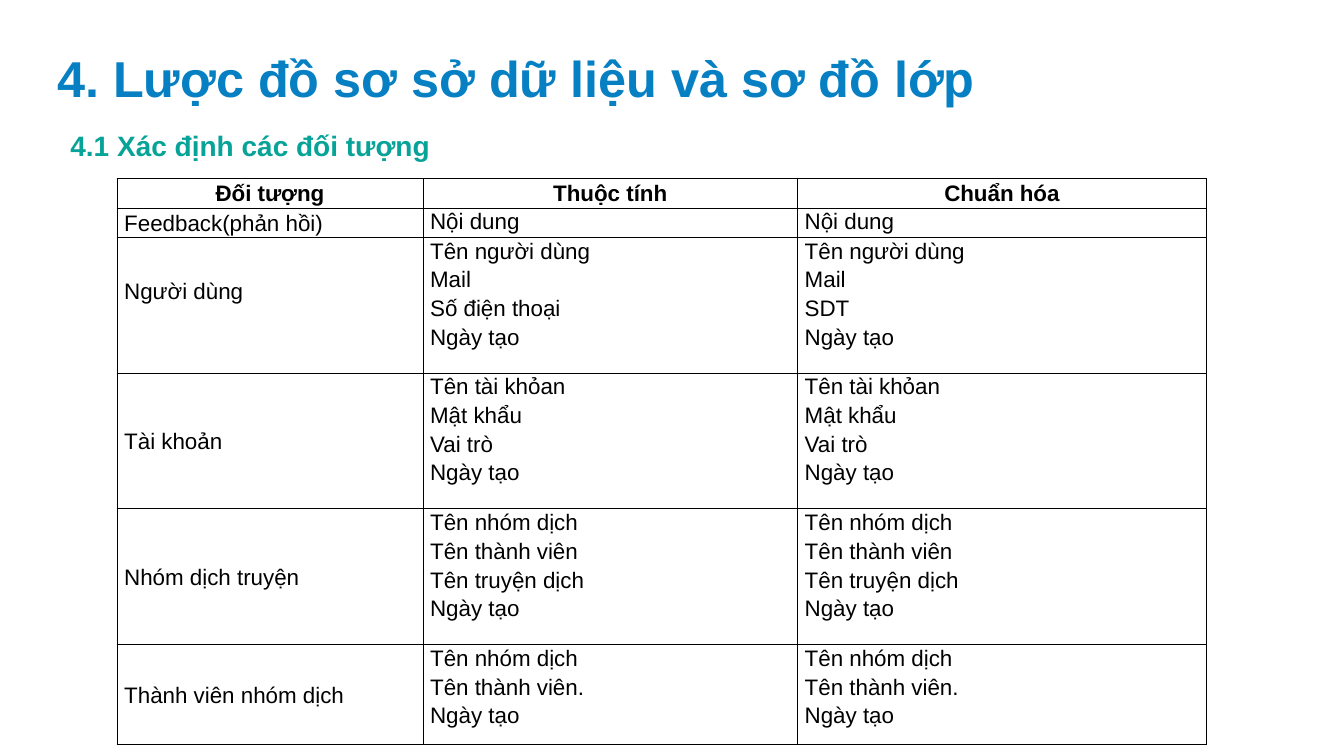
"""Build the slide that lists the objects, their attributes and normalised forms."""
from lxml.etree import SubElement
from pptx import Presentation
from pptx.dml.color import RGBColor
from pptx.enum.text import MSO_ANCHOR, MSO_AUTO_SIZE, PP_ALIGN
from pptx.oxml.ns import qn
from pptx.util import Cm, Pt

TITLE = "4. Lược đồ sơ sở dữ liệu và sơ đồ lớp"
SUBTITLE = "4.1 Xác định các đối tượng"
HEADER = ("Đối tượng", "Thuộc tính", "Chuẩn hóa")
OBJECTS = [
    ("Feedback(phản hồi)", ["Nội dung"]),
    ("Người dùng", ["Tên người dùng", "Mail", "Số điện thoại", "Ngày tạo"]),
    ("Tài khoản", ["Tên tài khỏan", "Mật khẩu", "Vai trò", "Ngày tạo"]),
    ("Nhóm dịch truyện", ["Tên nhóm dịch", "Tên thành viên", "Tên truyện dịch", "Ngày tạo"]),
    ("Thành viên nhóm dịch", ["Tên nhóm dịch", "Tên thành viên.", "Ngày tạo"]),
]
NORMALISED = {"Số điện thoại": "SDT"}
COLUMN_WIDTHS = (7.71, 9.44, 10.3)
ROW_HEIGHTS = (0.74, 0.74, 3.42, 3.42, 3.42, 2.52)
FEEDBACK_ROW, USER_ROW = 1, 2


def color(value):
    return RGBColor.from_string(value)


def format_runs(paragraph, size, hex_color, bold):
    for run in paragraph.runs:
        run.font.name = "Arial"
        run.font.size = Pt(size)
        run.font.bold = bold
        run.font.color.rgb = color(hex_color)


def fill_placeholder(shape, text, box, size, hex_color):
    shape.left, shape.top, shape.width, shape.height = map(Cm, box)
    frame = shape.text_frame
    frame.text = text
    frame.word_wrap = True
    frame.auto_size = MSO_AUTO_SIZE.NONE
    frame.vertical_anchor = MSO_ANCHOR.MIDDLE
    paragraph = frame.paragraphs[0]
    paragraph.alignment = PP_ALIGN.LEFT
    format_runs(paragraph, size, hex_color, True)
    return paragraph


def remove_bullet(paragraph):
    properties = paragraph._p.get_or_add_pPr()
    properties.set("marL", "0")
    properties.set("indent", "0")
    SubElement(properties, qn("a:buNone"))


def add_borders(cell, widths):
    properties = cell._tc.get_or_add_tcPr()
    for side, width in widths.items():
        line = SubElement(properties, qn(f"a:ln{side}"), w=str(Pt(width)))
        fill = SubElement(line, qn("a:solidFill"))
        SubElement(fill, qn("a:srgbClr"), val="000000")


def fill_cell(cell, text, centered, bold):
    cell.margin_left = cell.margin_right = Cm(0.18)
    cell.margin_top = cell.margin_bottom = 0
    cell.vertical_anchor = MSO_ANCHOR.MIDDLE if centered else MSO_ANCHOR.TOP
    cell.text_frame.text = text
    for paragraph in cell.text_frame.paragraphs:
        paragraph.alignment = PP_ALIGN.CENTER if bold else PP_ALIGN.LEFT
        paragraph.line_spacing = 1.07
        paragraph.space_after = Pt(1.5)
        format_runs(paragraph, 16, "000000", bold)


def add_object_table(slide):
    rows = [HEADER]
    for name, attributes in OBJECTS:
        normalised = [NORMALISED.get(item, item) for item in attributes]
        rows.append((name, "\n".join(attributes), "\n".join(normalised)))
    frame = slide.shapes.add_table(
        len(rows), len(HEADER), Cm(2.95), Cm(4.5),
        Cm(sum(COLUMN_WIDTHS)), Cm(sum(ROW_HEIGHTS)))
    table = frame.table
    table.first_row = table.horz_banding = False
    for column, width in zip(table.columns, COLUMN_WIDTHS):
        column.width = Cm(width)
    for row, height in zip(table.rows, ROW_HEIGHTS):
        row.height = Cm(height)
    for row_index, texts in enumerate(rows):
        top = 1 if row_index == USER_ROW else 0.5
        bottom = 1 if row_index == FEEDBACK_ROW else 0.5
        for column_index, text in enumerate(texts):
            cell = table.cell(row_index, column_index)
            is_header = row_index == 0
            fill_cell(cell, text, is_header or column_index == 0, is_header)
            add_borders(cell, {"L": 0.5, "R": 0.5, "T": top, "B": bottom})
            cell.fill.solid()
            cell.fill.fore_color.rgb = color("FFFFFF")
    table.cell(USER_ROW, 0).margin_bottom = Cm(0.74)


def main():
    presentation = Presentation()
    presentation.slide_width, presentation.slide_height = Cm(33.87), Cm(19.05)
    slide = presentation.slides.add_slide(presentation.slide_layouts[1])
    title, body = slide.placeholders
    fill_placeholder(title, TITLE, (1.19, 1.04, 26.7, 1.8), 36, "0680C3")
    subtitle = fill_placeholder(body, SUBTITLE, (1.52, 3.2, 20.57, 0.91), 20, "07A398")
    remove_bullet(subtitle)
    add_object_table(slide)
    presentation.save("out.pptx")


if __name__ == "__main__":
    main()
